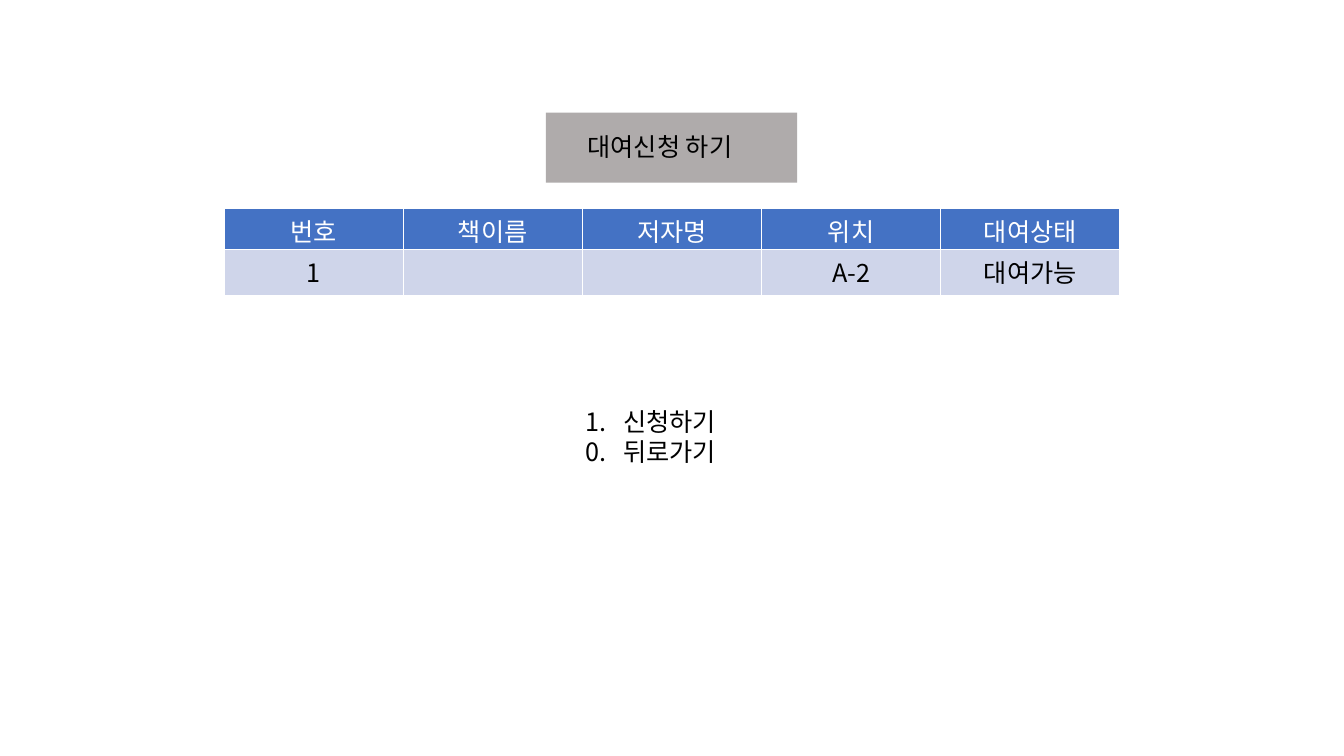
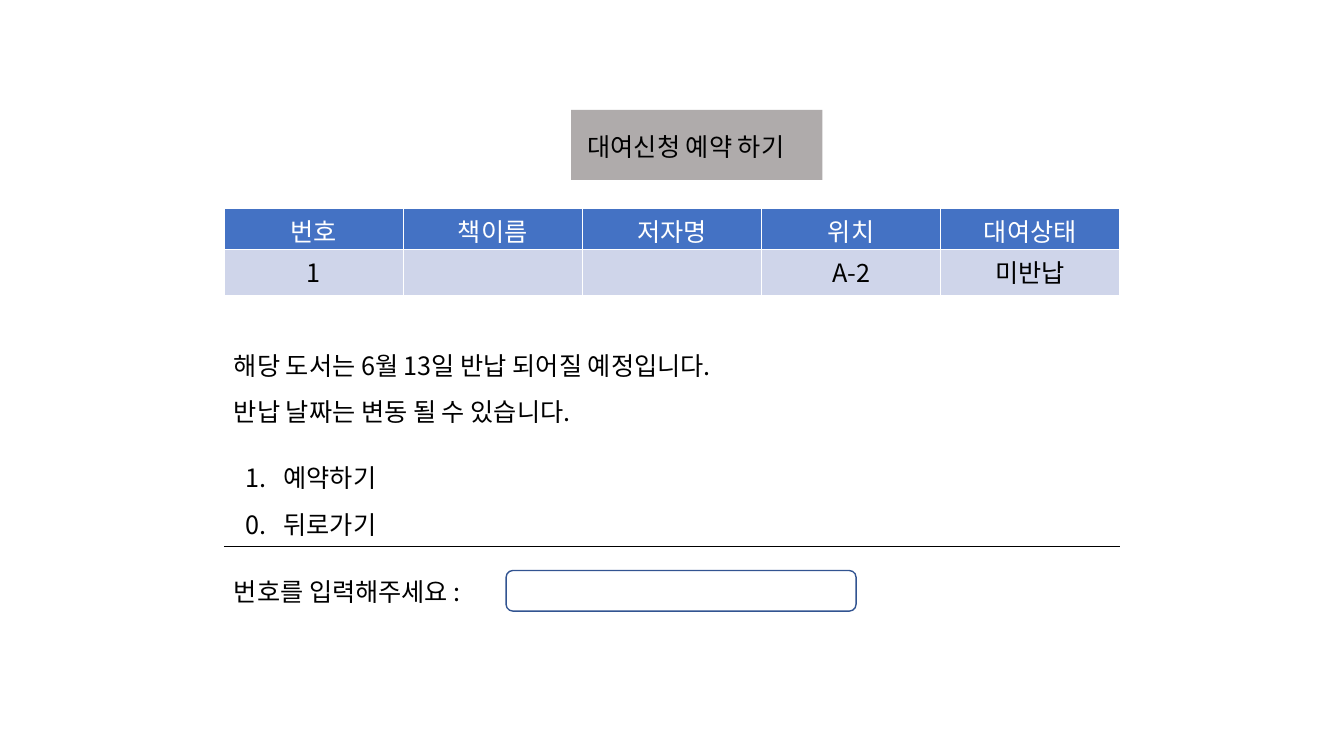
from dataclasses import dataclass

import pptx
import pptx.dml.color
import pptx.enum.shapes
import pptx.enum.text
import pptx.oxml
import pptx.oxml.ns
import pptx.util
from lxml import etree

Pt = pptx.util.Pt
Shape = pptx.enum.shapes.MSO_SHAPE
Align = pptx.enum.text.PP_ALIGN
Anchor = pptx.enum.text.MSO_ANCHOR
qn = pptx.oxml.ns.qn


@dataclass(frozen=True)
class Theme:
    font: str = "Noto Sans CJK KR"
    size: int = 18
    line_height: int = 22
    loose_line_height: int = 33
    black: str = "000000"
    white: str = "FFFFFF"
    banner: str = "AFABAB"
    header: str = "4472C4"
    row: str = "CFD5EA"
    input_line: str = "325491"


THEME = Theme()
LEFT, WIDTH = 160, 640
LIST_INDENT = 27
COLUMNS = ["번호", "책이름", "저자명", "위치", "대여상태"]


def rgb(value):
    return pptx.dml.color.RGBColor.from_string(value)


def points(*values):
    return [Pt(value) for value in values]


def style_para(para, color=THEME.black, align=Align.LEFT, line_height=THEME.line_height):
    para.alignment = align
    para.line_spacing = Pt(line_height)
    font = para.font
    font.name, font.size, font.bold = THEME.font, Pt(THEME.size), False
    font.color.rgb = rgb(color)
    defaults = para._p.pPr.find(qn("a:defRPr"))
    latin = defaults.find(qn("a:latin"))
    east_asian = etree.Element(qn("a:ea"), typeface=THEME.font)
    latin.addnext(east_asian)


def number_para(para):
    """Number the paragraph automatically, with a hanging indent."""
    props = para._p.get_or_add_pPr()
    props.set("marL", str(Pt(LIST_INDENT)))
    props.set("indent", str(-Pt(LIST_INDENT)))
    etree.SubElement(props, qn("a:buFont"), typeface="+mj-lt")
    etree.SubElement(props, qn("a:buAutoNum"), type="arabicPeriod")


def tab_para(para):
    """Place a tab stop where the numbered text starts."""
    stops = etree.SubElement(para._p.get_or_add_pPr(), qn("a:tabLst"))
    etree.SubElement(stops, qn("a:tab"), pos=str(Pt(LIST_INDENT)), algn="l")


def add_text(page, at, lines, line_height=THEME.line_height):
    box = page.shapes.add_textbox(*points(*at))
    frame = box.text_frame
    frame.word_wrap = True
    frame.text = "\n".join(lines)
    for para in frame.paragraphs:
        style_para(para, line_height=line_height)


def add_choices(page, at, first, line_height=THEME.line_height):
    """Offer choice 1, and choice 0 for going back."""
    box = page.shapes.add_textbox(*points(*at))
    frame = box.text_frame
    frame.word_wrap = True
    frame.text = f"{first}\n0.\t뒤로가기"
    for para, prepare in zip(frame.paragraphs, (number_para, tab_para)):
        prepare(para)
        style_para(para, line_height=line_height)


def add_box(page, kind, at, fill, line=None):
    box = page.shapes.add_shape(kind, *points(*at))
    box.shadow.inherit = False
    box.fill.solid()
    box.fill.fore_color.rgb = rgb(fill)
    if line:
        box.line.color.rgb = rgb(line)
        box.line.width = Pt(1)
    else:
        box.line.fill.background()
    return box


def add_rule(page, top):
    rule = page.shapes.add_connector(
        pptx.enum.shapes.MSO_CONNECTOR.STRAIGHT, *points(LEFT, top, LEFT + WIDTH, top))
    rule.line.color.rgb = rgb(THEME.black)
    rule.line.width = Pt(0.5)
    etree.SubElement(rule._element.spPr, qn("a:effectLst"))


def add_page(deck, title, title_width, banner_left, banner_top):
    page = deck.slides.add_slide(deck.slide_layouts[5])
    heading = page.shapes.title
    heading.left, heading.top, heading.width, heading.height = points(
        412.5, 90, title_width, 29)
    frame = heading.text_frame
    frame.text = title
    frame.word_wrap = True
    frame.auto_size = pptx.enum.text.MSO_AUTO_SIZE.NONE
    frame.vertical_anchor = Anchor.TOP
    style_para(frame.paragraphs[0])
    banner = add_box(page, Shape.RECTANGLE, (banner_left, banner_top, 179.5, 50), THEME.banner)
    heading.element.addprevious(banner.element)
    return page


def style_cell(cell, text, fill, color):
    cell.text = text
    cell.margin_top, cell.margin_bottom = points(7, 0)
    style_para(cell.text_frame.paragraphs[0], color, Align.CENTER)
    props = cell._tc.get_or_add_tcPr()
    for side in ("lnL", "lnR", "lnT", "lnB"):
        border = etree.SubElement(props, qn(f"a:{side}"), w=str(Pt(1)))
        paint = etree.SubElement(border, qn("a:solidFill"))
        etree.SubElement(paint, qn("a:srgbClr"), val=THEME.white)
    cell.fill.solid()
    cell.fill.fore_color.rgb = rgb(fill)


def add_book_table(page, status):
    rows = [(COLUMNS, THEME.header, THEME.white),
            (["1", "", "", "A-2", status], THEME.row, THEME.black)]
    table = page.shapes.add_table(
        len(rows), len(COLUMNS), *points(LEFT, 149, WIDTH, 58)).table
    table.horz_banding = False
    for row, (texts, fill, color) in zip(table.rows, rows):
        for cell, text in zip(row.cells, texts):
            style_cell(cell, text, fill, color)


def add_request_page(deck):
    page = add_page(deck, "대여신청 하기", 134.5, 390, 80.5)
    add_book_table(page, "대여가능")
    add_choices(page, (411, 286, 436, 51), "신청하기")


def add_reservation_page(deck):
    page = add_page(deck, "대여신청 예약 하기", 174.5, 408, 78.5)
    add_book_table(page, "미반납")
    add_text(page, (LEFT, 235, 396, 68),
             ["해당 도서는 6월 13일 반납 되어질 예정입니다.",
              "반납 날짜는 변동 될 수 있습니다."], THEME.loose_line_height)
    add_choices(page, (168.5, 315.5, 114.5, 68), "예약하기", THEME.loose_line_height)
    add_rule(page, 390)
    add_text(page, (LEFT, 407.5, 201.5, 29), ["번호를 입력해주세요 :"])
    add_box(page, Shape.ROUNDED_RECTANGLE, (361.5, 407.5, 250, 29),
            THEME.white, THEME.input_line)


def main():
    deck = pptx.Presentation()
    deck.slide_width, deck.slide_height = points(960, 540)
    add_request_page(deck)
    add_reservation_page(deck)
    deck.save("out.pptx")


if __name__ == "__main__":
    main()
